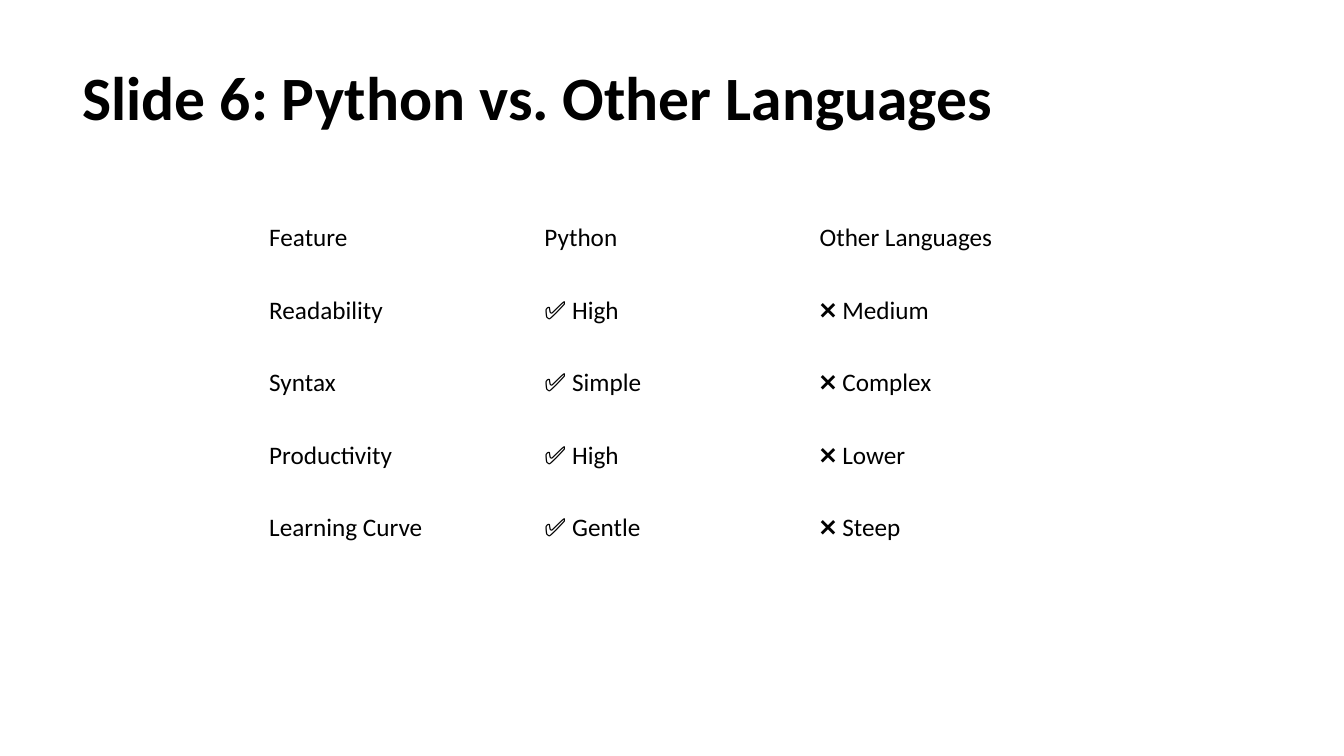
from pptx import Presentation
from pptx.dml.color import RGBColor
from pptx.enum.text import MSO_ANCHOR, MSO_AUTO_SIZE, PP_ALIGN
from pptx.util import Inches, Pt

TOP, MIDDLE = MSO_ANCHOR.TOP, MSO_ANCHOR.MIDDLE
LEFT = PP_ALIGN.LEFT
NO_FIT = MSO_AUTO_SIZE.NONE
TITLE_ONLY = 5
FONT = "Calibri"
INK = "000000"
ROWS = [
    ("Feature", "Python", "Other Languages"),
    ("Readability", "✅ High", "❌ Medium"),
    ("Syntax", "✅ Simple", "❌ Complex"),
    ("Productivity", "✅ High", "❌ Lower"),
    ("Learning Curve", "✅ Gentle", "❌ Steep"),
]


def color(code):
    return RGBColor.from_string(code)


def write(frame, text, size, bold=False):
    """Put one left-aligned paragraph in a text frame and format it."""
    frame.text = text
    para = frame.paragraphs[0]
    para.alignment = LEFT
    font = para.runs[0].font
    font.name, font.size, font.bold = FONT, Pt(size), bold
    font.color.rgb = color(INK)
    return para


def add_title(slide, text, left, top, width, height):
    title = slide.shapes.title
    title.left, title.top = Inches(left), Inches(top)
    title.width, title.height = Inches(width), Inches(height)
    frame = title.text_frame
    frame.auto_size = NO_FIT
    frame.vertical_anchor = TOP
    write(frame, text, 44, True).line_spacing = 0.9


def add_grid(slide, rows, left, top, col, row):
    count, span = len(rows), len(rows[0])
    table = slide.shapes.add_table(
        count, span, Inches(left), Inches(top),
        Inches(col * span), Inches(row * count)).table
    table.first_row = table.horz_banding = False
    for line, texts in zip(table.rows, rows):
        for cell, text in zip(line.cells, texts):
            cell.fill.background()
            cell.vertical_anchor = MIDDLE
            write(cell.text_frame, text, 18)


def main():
    deck = Presentation()
    deck.slide_width, deck.slide_height = Inches(13.33), Inches(7.5)
    slide = deck.slides.add_slide(deck.slide_layouts[TITLE_ONLY])
    add_title(slide, "Slide 6: Python vs. Other Languages", 0.72, 0.62, 11.5, 1.45)
    add_grid(slide, ROWS, 2.57, 2, 2.73, 0.72)
    deck.save("out.pptx")


if __name__ == "__main__":
    main()
